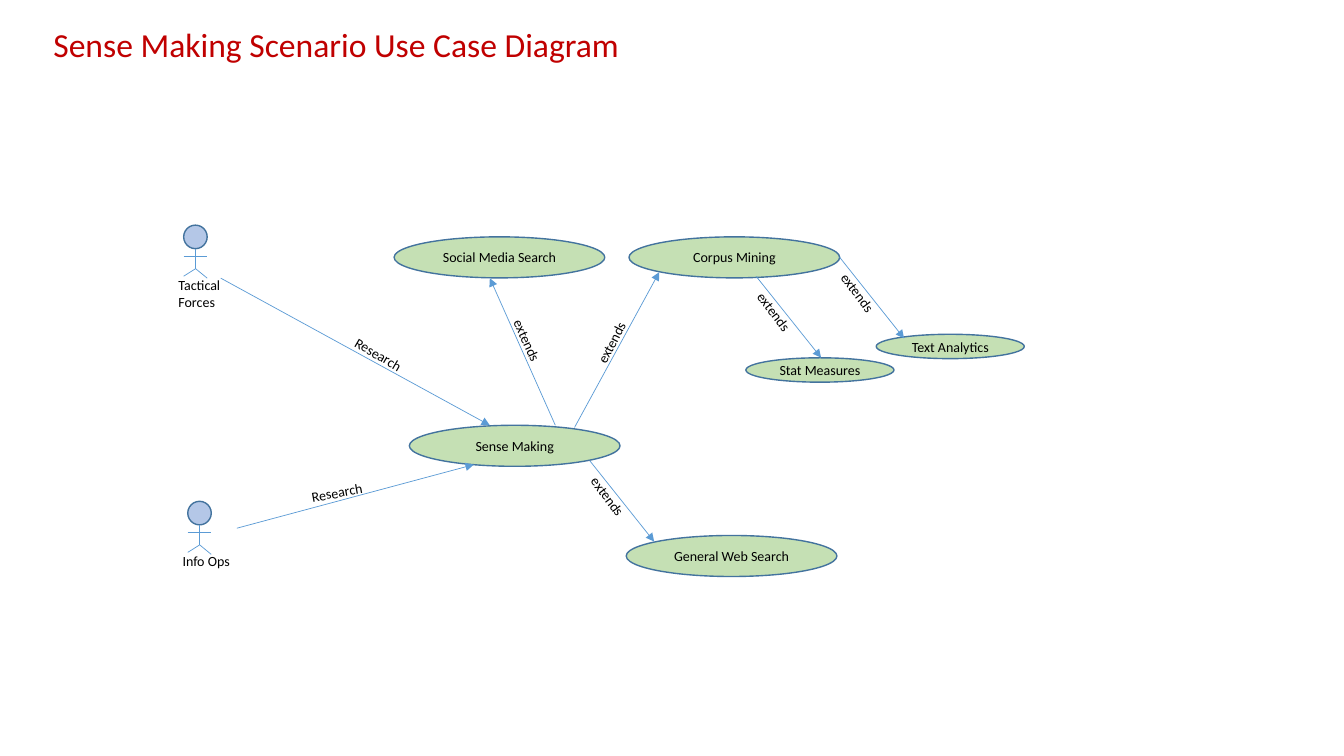
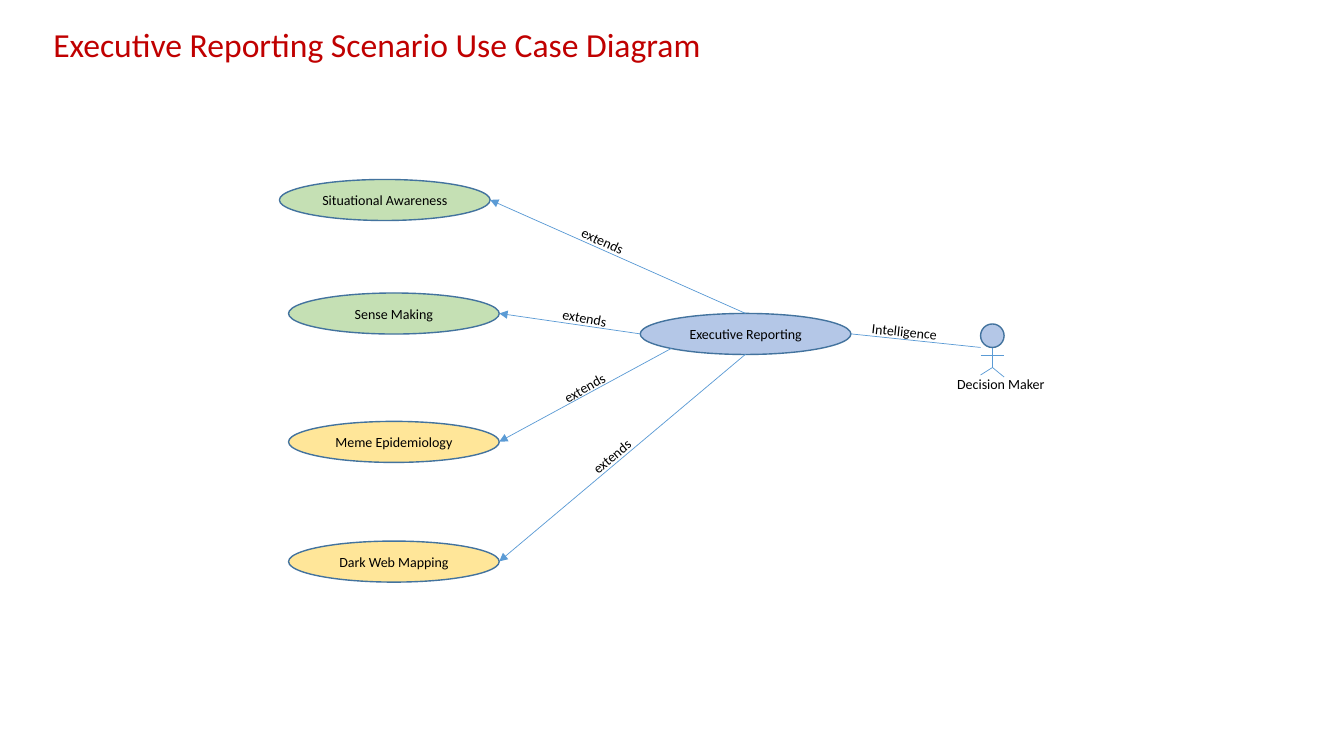
from dataclasses import dataclass
from typing import Any

from lxml import etree
from pptx import Presentation
from pptx.dml.color import RGBColor
from pptx.enum.shapes import MSO_CONNECTOR, MSO_SHAPE
from pptx.enum.text import MSO_ANCHOR, MSO_AUTO_SIZE, PP_ALIGN
from pptx.oxml.ns import qn
from pptx.util import Pt

ELLIPSE = MSO_SHAPE.OVAL
HEAD = MSO_SHAPE.FLOWCHART_CONNECTOR
STRAIGHT = MSO_CONNECTOR.STRAIGHT
MIDDLE = MSO_ANCHOR.MIDDLE
GROW = MSO_AUTO_SIZE.SHAPE_TO_FIT_TEXT
CENTER = PP_ALIGN.CENTER

Point = tuple[float, float]
Box = tuple[float, float, float, float]


@dataclass(frozen=True)
class Theme:
    font: str = "Calibri"
    title_size: float = 24
    body_size: float = 10
    title: RGBColor = RGBColor(0xC0, 0x00, 0x00)
    text: RGBColor = RGBColor(0x00, 0x00, 0x00)
    green: RGBColor = RGBColor(0xC5, 0xE0, 0xB4)
    yellow: RGBColor = RGBColor(0xFF, 0xE6, 0x99)
    blue: RGBColor = RGBColor(0xB4, 0xC7, 0xE7)
    outline: RGBColor = RGBColor(0x43, 0x73, 0x9E)
    relation: RGBColor = RGBColor(0x5B, 0x9B, 0xD5)
    outline_width: float = 1
    relation_width: float = 0.5


THEME = Theme()
TITLE_FORMAT = {"name": THEME.font, "size": Pt(THEME.title_size)}
BODY_FORMAT = {"name": THEME.font, "size": Pt(THEME.body_size)}

# Use case sizes, actor proportions and label height
LARGE: Point = (150.5, 29.3)
SMALL: Point = (105.8, 17.4)
HEAD_SIZE = 16.8
CAPTION_DROP = 33.1
LABEL_HEIGHT = 19.4
LIMBS: list[tuple[Point, Point]] = [
    ((8.4, 17), (8.4, 31.2)),
    ((0, 22.3), (16.8, 22.3)),
    ((8.4, 31.2), (0, 36.5)),
    ((16.8, 37.9), (8.4, 31)),
]


@dataclass(frozen=True)
class UseCase:
    name: str
    left: float
    top: float
    fill: RGBColor = THEME.green
    size: Point = LARGE


@dataclass(frozen=True)
class Actor:
    name: str
    left: float
    top: float
    caption_shift: float = -10.8
    caption_width: float = 49
    caption_height: float = LABEL_HEIGHT


@dataclass(frozen=True)
class Label:
    text: str
    left: float
    top: float
    rotation: float
    width: float = 53.3
    wrap: bool = True


@dataclass(frozen=True)
class Relation:
    start: Point
    end: Point
    label: Label
    arrow: bool = True


@dataclass(frozen=True)
class Diagram:
    title: str
    title_width: float
    actors: list[Actor]
    use_cases: list[UseCase]
    relations: list[Relation]


def apply(target: Any, values: dict[str, Any]) -> None:
    for attribute, value in values.items():
        setattr(target, attribute, value)


def write(frame: Any, text: str, font_format: dict[str, Any], color: RGBColor) -> None:
    run = frame.paragraphs[0].add_run()
    run.text = text
    apply(run.font, font_format)
    run.font.color.rgb = color


def draw_text(shapes: Any, text: str, box: Box, font_format: dict[str, Any] = BODY_FORMAT,
              color: RGBColor = THEME.text, wrap: bool = True, rotation: float = 0) -> None:
    textbox = shapes.add_textbox(*map(Pt, box))
    textbox.rotation = rotation
    apply(textbox.text_frame, {"word_wrap": wrap, "auto_size": GROW})
    write(textbox.text_frame, text, font_format, color)


def draw_outlined(shapes: Any, kind: Any, box: Box, fill: RGBColor) -> Any:
    shape = shapes.add_shape(kind, *map(Pt, box))
    shape.shadow.inherit = False
    shape.fill.solid()
    shape.fill.fore_color.rgb = fill
    shape.line.color.rgb = THEME.outline
    shape.line.width = Pt(THEME.outline_width)
    return shape


def draw_line(shapes: Any, start: Point, end: Point, arrow: bool = False) -> None:
    line = shapes.add_connector(STRAIGHT, *map(Pt, start + end))
    line.line.color.rgb = THEME.relation
    line.line.width = Pt(THEME.relation_width)
    properties = line.element.spPr
    if arrow:
        etree.SubElement(properties.find(qn("a:ln")), qn("a:tailEnd"), type="triangle")
    etree.SubElement(properties, qn("a:effectLst"))


def draw_use_case(shapes: Any, case: UseCase) -> None:
    ellipse = draw_outlined(shapes, ELLIPSE, (case.left, case.top, *case.size), case.fill)
    apply(ellipse.text_frame, {"word_wrap": True, "vertical_anchor": MIDDLE})
    ellipse.text_frame.paragraphs[0].alignment = CENTER
    write(ellipse.text_frame, case.name, BODY_FORMAT, THEME.text)


def draw_actor(shapes: Any, actor: Actor) -> None:
    figure = shapes.add_group_shape().shapes
    x, y = actor.left, actor.top
    draw_outlined(figure, HEAD, (x, y, HEAD_SIZE, HEAD_SIZE), THEME.blue)
    for (x1, y1), (x2, y2) in LIMBS:
        draw_line(figure, (x + x1, y + y1), (x + x2, y + y2))
    draw_text(figure, actor.name, (x + actor.caption_shift, y + CAPTION_DROP,
                                   actor.caption_width, actor.caption_height))


def draw_relation(shapes: Any, relation: Relation) -> None:
    label = relation.label
    draw_line(shapes, relation.start, relation.end, relation.arrow)
    draw_text(shapes, label.text, (label.left, label.top, label.width, LABEL_HEIGHT),
              wrap=label.wrap, rotation=label.rotation)


def draw_diagram(deck: Any, diagram: Diagram) -> None:
    shapes = deck.slides.add_slide(deck.slide_layouts[6]).shapes
    for actor in diagram.actors:
        draw_actor(shapes, actor)
    for case in diagram.use_cases:
        draw_use_case(shapes, case)
    for relation in diagram.relations:
        draw_relation(shapes, relation)
    draw_text(shapes, diagram.title, (31, 13.7, diagram.title_width, 36),
              TITLE_FORMAT, THEME.title)


def extends(left: float, top: float, rotation: float) -> Label:
    return Label("extends", left, top, rotation)


def tight_extends(left: float, top: float, rotation: float) -> Label:
    return Label("extends", left, top, rotation, width=46.8, wrap=False)


# Slide 1: sense making
SENSE_MAKING = Diagram(
    "Sense Making Scenario Use Case Diagram", 461.5,
    actors=[
        Actor("Tactical Forces", 131.2, 160.8, caption_height=31.7),
        Actor("Info Ops", 134.1, 358.1),
    ],
    use_cases=[
        UseCase("Social Media Search", 281.5, 169.2),
        UseCase("Corpus Mining", 449.3, 169.2),
        UseCase("Sense Making", 292.4, 303.8),
        UseCase("General Web Search", 447.3, 382.5),
        UseCase("Stat Measures", 532.8, 255.6, size=SMALL),
        UseCase("Text Analytics", 625.9, 238.8, size=SMALL),
    ],
    relations=[
        Relation((599.8, 183.8), (645.8, 241.7), extends(588.2, 202.3, 53.1)),
        Relation((540.3, 197.6), (586.5, 255.5), extends(528.5, 216, 53.1)),
        Relation((157.7, 198.7), (349.9, 303.8), Label("Research", 244.8, 244.1, 30.4)),
        Relation((396.7, 303.8), (349.9, 198.7), extends(351.4, 236.9, 65.4)),
        Relation((410.4, 305.3), (470.9, 194.4), extends(411.8, 231.8, 297)),
        Relation((421.2, 329), (467.3, 386.9), extends(409.7, 347.8, 53.1)),
        Relation((169.2, 377.3), (338.4, 331.9), Label("Research", 215.3, 342, 349.8)),
    ],
)

# Slide 2: executive reporting
EXECUTIVE_REPORTING = Diagram(
    "Executive Reporting Scenario Use Case Diagram", 514.1,
    actors=[Actor("Decision Maker", 700.4, 231.4, caption_shift=-23.8, caption_width=80.6)],
    use_cases=[
        UseCase("Situational Awareness", 199.6, 128.2),
        UseCase("Sense Making", 206.1, 209.3),
        UseCase("Meme Epidemiology", 206.1, 301, THEME.yellow),
        UseCase("Dark Web Mapping", 206.1, 386.5, THEME.yellow),
        UseCase("Executive Reporting", 457.3, 223.9, THEME.blue),
    ],
    relations=[
        Relation((607.7, 238.5), (700.4, 248.2),
                 Label("Intelligence", 615.6, 227.5, 5.8, width=67), arrow=False),
        Relation((532.6, 223.9), (350.1, 142.8), tight_extends(407.5, 162.7, 24.6)),
        Relation((457.3, 238.5), (356.6, 223.9), tight_extends(394.6, 217.4, 10.5)),
        Relation((479.5, 248.9), (356.6, 315.5), tight_extends(394.6, 267.1, 331)),
        Relation((532.6, 253), (356.6, 401), tight_extends(414, 316.1, 320.1)),
    ],
)

presentation = Presentation()
apply(presentation, {"slide_width": Pt(960), "slide_height": Pt(540)})
for scenario in (SENSE_MAKING, EXECUTIVE_REPORTING):
    draw_diagram(presentation, scenario)
presentation.save("out.pptx")
